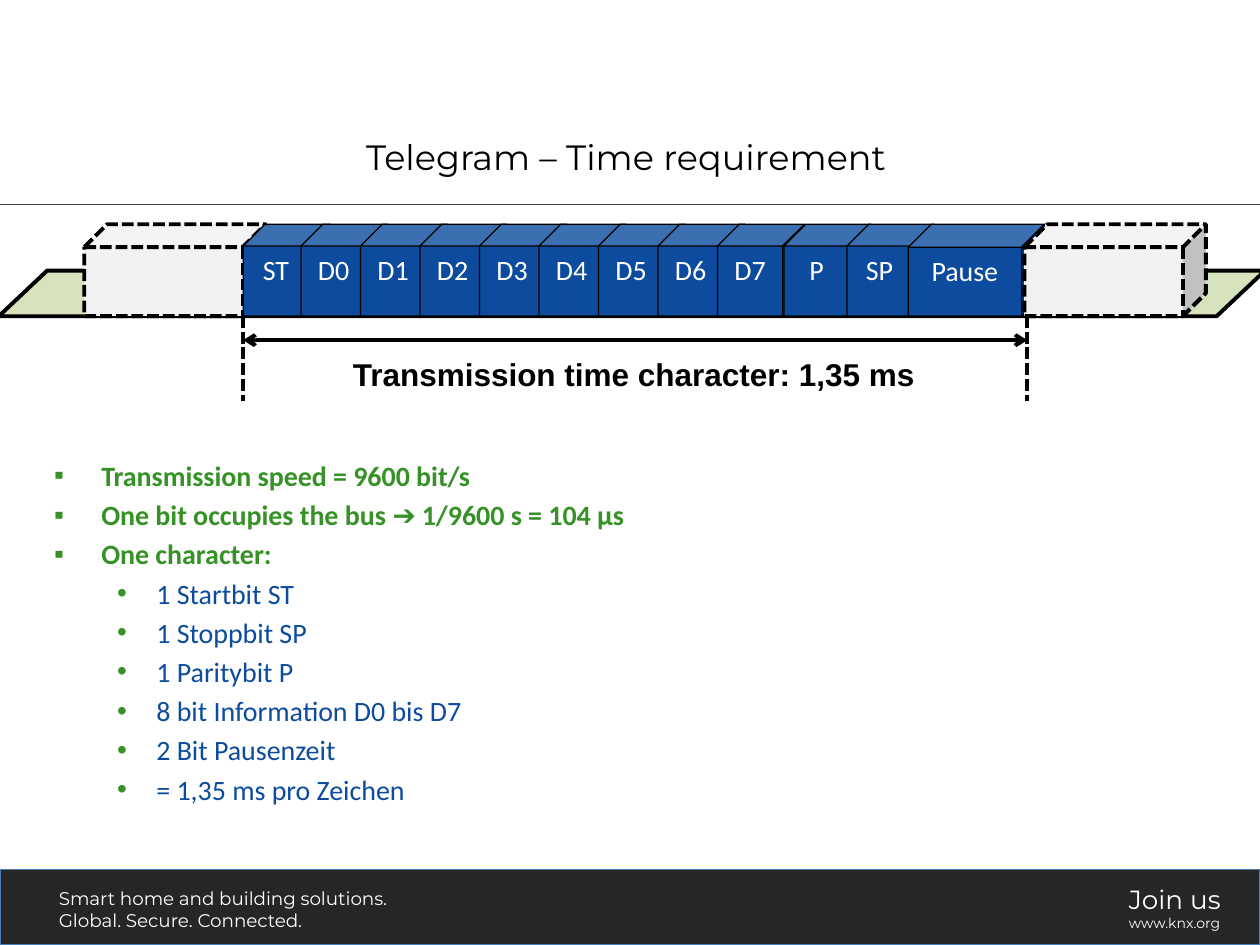
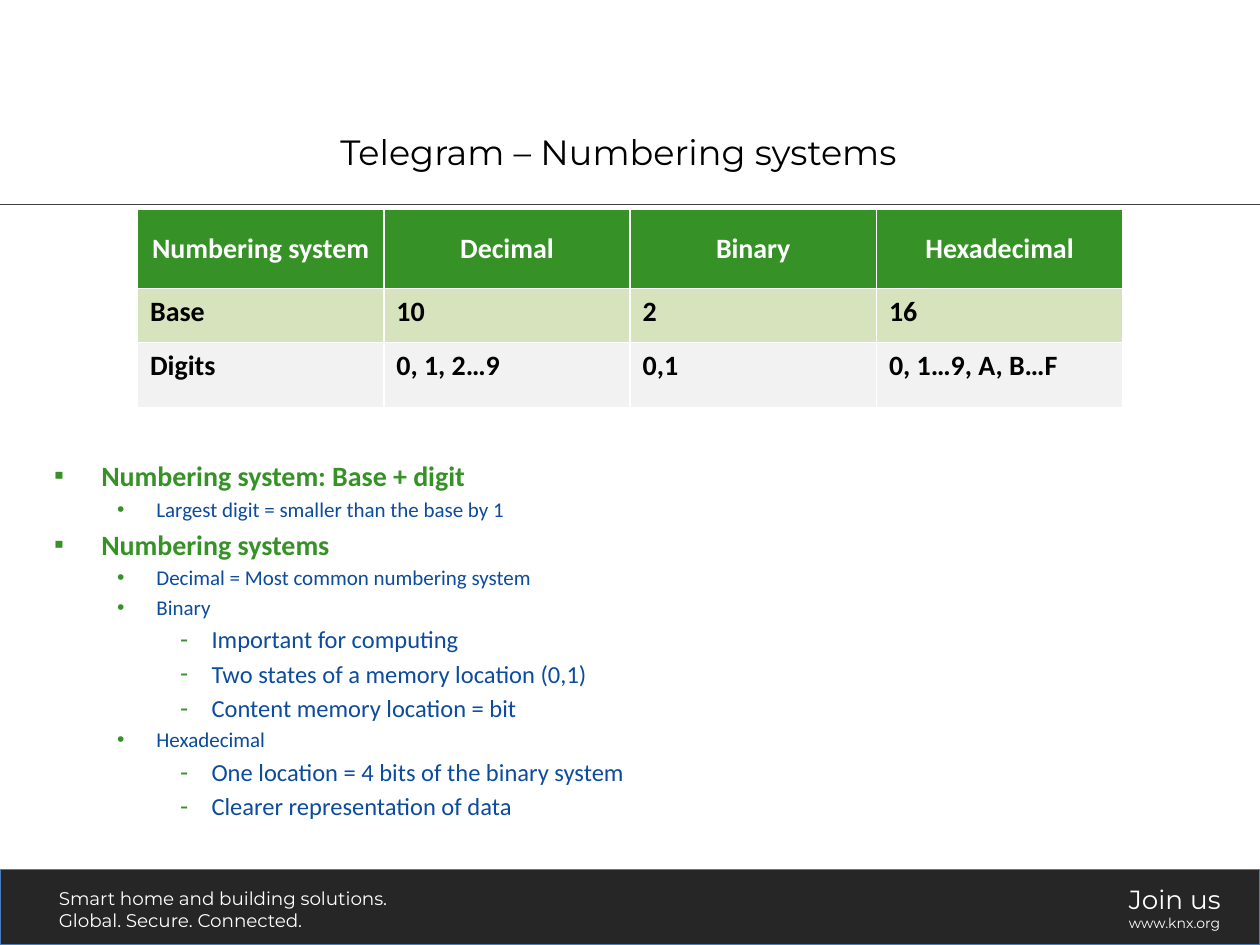
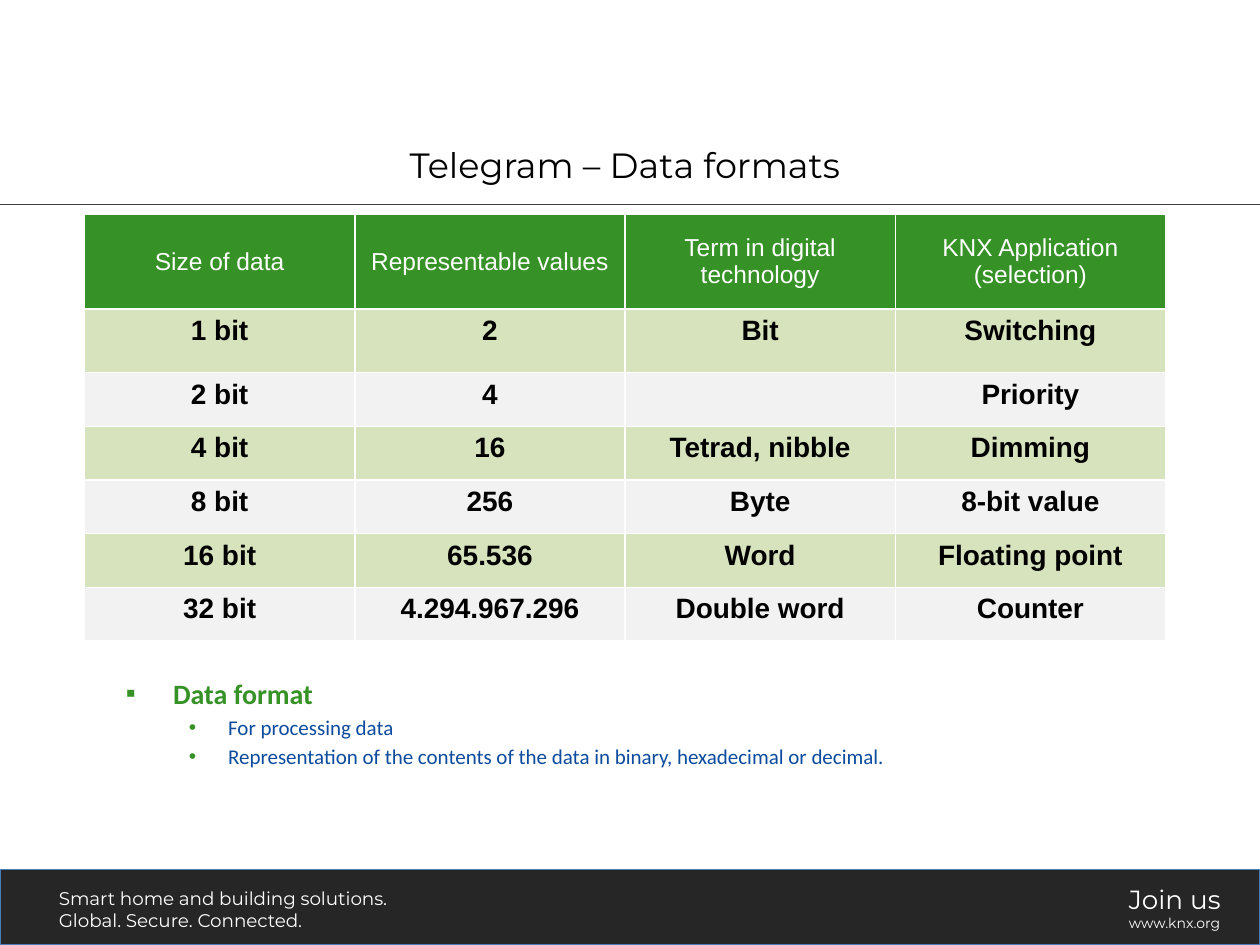
from lxml import etree
from pptx import Presentation
from pptx.dml.color import RGBColor
from pptx.enum.dml import MSO_LINE
from pptx.enum.shapes import MSO_CONNECTOR, MSO_SHAPE
from pptx.enum.text import MSO_ANCHOR, PP_ALIGN
from pptx.oxml.ns import qn
from pptx.util import Pt

SQUARE_DASH = MSO_LINE.SQUARE_DOT
STRAIGHT = MSO_CONNECTOR.STRAIGHT
RECTANGLE, CUBE, PARALLELOGRAM = MSO_SHAPE.RECTANGLE, MSO_SHAPE.CUBE, MSO_SHAPE.PARALLELOGRAM
TOP, MIDDLE = MSO_ANCHOR.TOP, MSO_ANCHOR.MIDDLE
LEFT, CENTER = PP_ALIGN.LEFT, PP_ALIGN.CENTER

COLORS = {
    "band": "262626", "band_edge": "4A7EBB", "rule": "404040",
    "white": "FFFFFF", "black": "000000", "gray": "F2F2F2",
    "green": "369226", "light_green": "D6E3BC", "blue": "0C4B9D",
}
HEADING_FONT, BODY_FONT, TABLE_FONT = "Montserrat", "Calibri", "Arial"
SLIDE_WIDTH, SLIDE_HEIGHT = 720, 540

# Per outline level: bullet, text indent, hanging indent, text colour
LEVELS = [("▪", 27, 27, "green"), ("•", 58.5, 22.5, "blue"), ("-", 90, 18, "blue")]

CELL_TOP, CELL_HEIGHT, CELL_WIDTH = 128.16, 52.5, 49.7
CELL_BOTTOM = CELL_TOP + CELL_HEIGHT
CHARACTER_START, CHARACTER_END = 139, 587


def rgb(color):
    return RGBColor.from_string(COLORS[color])


def set_font(paragraph, name, size, color, bold=False):
    for run in paragraph.runs:
        run.font.name, run.font.size, run.font.bold = name, Pt(size), bold
        run.font.color.rgb = rgb(color)


def add_box(slide, kind, box, fill, edge, width, dashed=False):
    shape = slide.shapes.add_shape(kind, *map(Pt, box))
    shape.shadow.inherit = False
    shape.fill.solid()
    shape.fill.fore_color.rgb = rgb(fill)
    shape.line.color.rgb = rgb(edge)
    shape.line.width = Pt(width)
    if dashed:
        shape.line.dash_style = SQUARE_DASH
    return shape


def add_line(slide, start, end, color, width, dashed=False, arrows=False):
    connector = slide.shapes.add_connector(STRAIGHT, *map(Pt, start + end))
    connector.line.color.rgb = rgb(color)
    connector.line.width = Pt(width)
    if dashed:
        connector.line.dash_style = SQUARE_DASH
    properties = connector.element.spPr
    if arrows:
        for tag in ("a:headEnd", "a:tailEnd"):
            etree.SubElement(properties.find(qn("a:ln")), qn(tag), type="arrow")
    etree.SubElement(properties, qn("a:effectLst"))


def add_text(slide, box, lines, font, color, bold=False, align=LEFT, anchor=TOP):
    """Add a text box; lines holds (text, size) pairs, one per paragraph."""
    frame = slide.shapes.add_textbox(*map(Pt, box)).text_frame
    frame.word_wrap = True
    frame.vertical_anchor = anchor
    frame.text = "\n".join(text for text, _ in lines)
    for paragraph, (_, size) in zip(frame.paragraphs, lines):
        paragraph.alignment = align
        set_font(paragraph, font, size, color, bold)


def set_bullet(paragraph, bullet, indent, hanging, spaced):
    properties = paragraph._p.get_or_add_pPr()
    properties.set("marL", str(Pt(indent)))
    properties.set("indent", str(-Pt(hanging)))
    if spaced:
        space = etree.SubElement(properties, qn("a:spcBef"))
        etree.SubElement(space, qn("a:spcPct"), val="20000")
    bullet_color = etree.SubElement(properties, qn("a:buClr"))
    etree.SubElement(bullet_color, qn("a:srgbClr"), val=COLORS["green"])
    etree.SubElement(properties, qn("a:buFont"), typeface="Arial")
    etree.SubElement(properties, qn("a:buChar"), char=bullet)


def add_outline(slide, box, items, sizes):
    """Add a bulleted outline of (level, text) items; sizes go by level."""
    frame = slide.shapes.add_textbox(*map(Pt, box)).text_frame
    frame.word_wrap = True
    frame.text = "\n".join(text for _, text in items)
    for index, (paragraph, (level, _)) in enumerate(zip(frame.paragraphs, items)):
        bullet, indent, hanging, color = LEVELS[level]
        paragraph.level = level
        set_bullet(paragraph, bullet, indent, hanging, spaced=index > 0)
        set_font(paragraph, BODY_FONT, sizes[level], color, bold=level == 0)


def add_data_table(slide, box, rows, heights, font, header_size, header_bold, body_align):
    """Add a table with a green header and alternating rows; white rules come from its style."""
    table = slide.shapes.add_table(len(rows), len(rows[0]), *map(Pt, box)).table
    for row, height in zip(table.rows, heights):
        row.height = Pt(height)
    for r, texts in enumerate(rows):
        header = r == 0
        fill = "green" if header else ("gray", "light_green")[r % 2]
        for c, text in enumerate(texts):
            cell = table.cell(r, c)
            cell.fill.solid()
            cell.fill.fore_color.rgb = rgb(fill)
            cell.vertical_anchor = MIDDLE if header else TOP
            cell.text_frame.text = text
            paragraph = cell.text_frame.paragraphs[0]
            paragraph.alignment = CENTER if header else body_align
            if header:
                set_font(paragraph, font, header_size, "white", header_bold)
            else:
                set_font(paragraph, font, 16, "black", True)


def add_base_slide(presentation, title, title_left, title_top):
    """Add a slide with the footer band, the title rule and the title."""
    slide = presentation.slides.add_slide(presentation.slide_layouts[6])
    add_box(slide, RECTANGLE, (0, 496.8, SLIDE_WIDTH, 43.2), "band", "band_edge", 0.75)
    add_line(slide, (0, 116.8), (SLIDE_WIDTH, 116.8), "rule", 0.5)
    add_text(slide, (26.6, 503.3, 211, 32.4),
             [("Smart home and building solutions.", 10.5), ("Global. Secure. Connected.", 10.5)],
             HEADING_FONT, "white")
    add_text(slide, (638, 501.1, 78, 36.7), [("Join us", 15), ("www.knx.org", 8)],
             HEADING_FONT, "white")
    add_text(slide, (title_left, title_top, 550, 39.6), [(title, 20)],
             HEADING_FONT, "black", align=CENTER, anchor=MIDDLE)
    return slide


def add_neighbour_character(slide, left):
    cube = add_box(slide, CUBE, (left, CELL_TOP, 103.7, CELL_HEIGHT),
                   "gray", "black", 2.25, dashed=True)
    cube.adjustments[0] = 0.25


def add_bit_cell(slide, label, left, width=CELL_WIDTH):
    cube = add_box(slide, CUBE, (left, CELL_TOP, width, CELL_HEIGHT), "blue", "black", 0.75)
    frame = cube.text_frame
    frame.vertical_anchor = TOP
    frame.text = label
    frame.paragraphs[0].alignment = CENTER
    set_font(frame.paragraphs[0], BODY_FONT, 16, "white")


def add_character_diagram(slide):
    bus = add_box(slide, PARALLELOGRAM, (-0.7, 154.6, 723.6, 26.1), "light_green", "black", 2.25)
    bus.adjustments[0] = 1.06
    add_neighbour_character(slide, 48.2)
    add_bit_cell(slide, "ST", CHARACTER_START)
    for bit in range(8):
        add_bit_cell(slide, f"D{bit}", 172 + 34 * bit)
    add_bit_cell(slide, "P", 448)
    add_bit_cell(slide, "SP", 484)
    add_bit_cell(slide, "Pause", 519, 77.8)
    for edge in (CHARACTER_START, CHARACTER_END):
        add_line(slide, (edge, CELL_BOTTOM), (edge, 229), "black", 2.25, dashed=True)
    add_line(slide, (CHARACTER_START, 194.4), (CHARACTER_END, 194.4), "black", 2.25, arrows=True)
    add_text(slide, (187.2, 199.4, 350, 28.8), [("Transmission time character: 1,35 ms", 18)],
             TABLE_FONT, "black", bold=True, align=CENTER, anchor=MIDDLE)
    add_neighbour_character(slide, 585.4)


def build_time_slide(presentation):
    slide = add_base_slide(presentation, "Telegram – Time requirement", 82.8, 69.8)
    add_outline(slide, (23.8, 258.5, 640.8, 238.3), [
        (0, "Transmission speed = 9600 bit/s"),
        (0, "One bit occupies the bus ➔ 1/9600 s = 104 µs"),
        (0, "One character:"),
        (1, "1 Startbit ST"),
        (1, "1 Stoppbit SP"),
        (1, "1 Paritybit P"),
        (1, "8 bit Information D0 bis D7"),
        (1, "2 Bit Pausenzeit"),
        (1, "= 1,35 ms pro Zeichen"),
    ], sizes=(16, 16))
    add_character_diagram(slide)


def build_numbering_slide(presentation):
    slide = add_base_slide(presentation, "Telegram – Numbering systems", 78.5, 67)
    add_data_table(slide, (78.6, 119.7, 563, 113.3), [
        ("Numbering system", "Decimal", "Binary", "Hexadecimal"),
        ("Base", "10", "2", "16"),
        ("Digits", "0, 1, 2…9", "0,1", "0, 1…9, A, B…F"),
    ], (45.2, 30.8, 37.3), BODY_FONT, 16, True, LEFT)
    add_outline(slide, (23.8, 258.5, 640.8, 221), [
        (0, "Numbering system: Base + digit"),
        (1, "Largest digit = smaller than the base by 1"),
        (0, "Numbering systems"),
        (1, "Decimal = Most common numbering system"),
        (1, "Binary"),
        (2, "Important for computing"),
        (2, "Two states of a memory location (0,1)"),
        (2, "Content memory location = bit"),
        (1, "Hexadecimal"),
        (2, "One location = 4 bits of the binary system"),
        (2, "Clearer representation of data"),
    ], sizes=(16, 12, 14))


def build_formats_slide(presentation):
    slide = add_base_slide(presentation, "Telegram – Data formats", 82.1, 74.2)
    add_data_table(slide, (48.3, 122.2, 617.8, 244.2), [
        ("Size of data", "Representable values", "Term in digital technology",
         "KNX Application (selection)"),
        ("1 bit", "2", "Bit", "Switching"),
        ("2 bit", "4", "", "Priority"),
        ("4 bit", "16", "Tetrad, nibble", "Dimming"),
        ("8 bit", "256", "Byte", "8-bit value"),
        ("16 bit", "65.536", "Word", "Floating point"),
        ("32 bit", "4.294.967.296", "Double word", "Counter"),
    ], [54.5, 36.2] + [30.7] * 5, TABLE_FONT, 14, False, CENTER)
    add_outline(slide, (64.8, 383, 578.2, 73.4), [
        (0, "Data format"),
        (1, "For processing data"),
        (1, "Representation of the contents of the data in binary, hexadecimal or decimal."),
    ], sizes=(16, 12))


def main():
    presentation = Presentation()
    presentation.slide_width, presentation.slide_height = Pt(SLIDE_WIDTH), Pt(SLIDE_HEIGHT)
    build_time_slide(presentation)
    build_numbering_slide(presentation)
    build_formats_slide(presentation)
    presentation.save("out.pptx")


if __name__ == "__main__":
    main()
